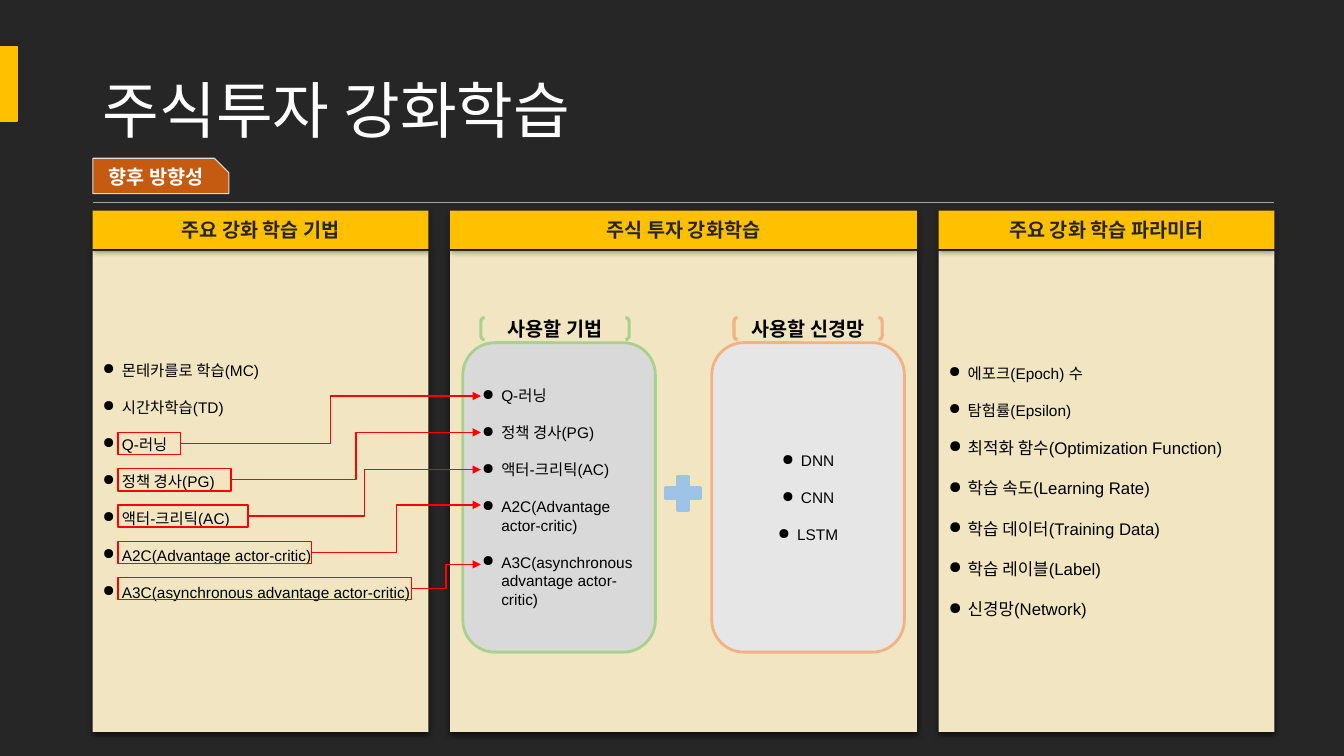
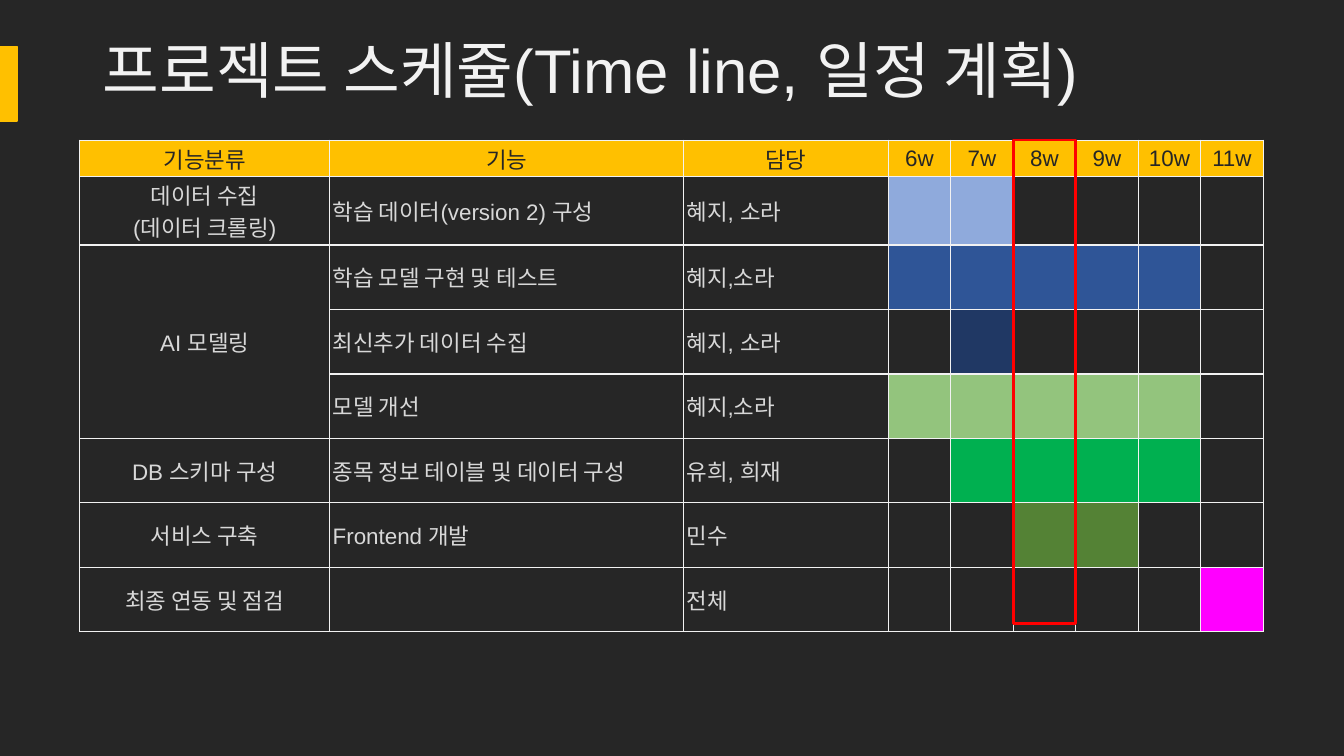
from lxml import etree
from pptx import Presentation
from pptx.dml.color import RGBColor
from pptx.enum.shapes import MSO_CONNECTOR, MSO_SHAPE
from pptx.enum.text import MSO_ANCHOR, MSO_AUTO_SIZE, PP_ALIGN
from pptx.oxml.ns import qn
from pptx.util import Inches, Pt

# Shared look
DARK, GOLD, RED, BLACK, WHITE = "262626", "FFC000", "FF0000", "000000", "FFFFFF"
PALE, BODY = "F2F2F2", "D8D8D8"
GREEN, PEACH, SKY = "A9D18E", "F4B183", "9DC3E6"
LEFT, RIGHT = 0.92, 12.64

# Content of the direction slide: text and size of each bullet
METHODS = ["Q-러닝", "정책 경사(PG)", "액터-크리틱(AC)", "A2C(Advantage actor-critic)",
           "A3C(asynchronous advantage actor-critic)"]
TECHNIQUES = [(text, 11) for text in ["몬테카를로 학습(MC)", "시간차학습(TD)"] + METHODS]
PARAMETERS = [("에포크(Epoch) 수", 11), ("탐험률(Epsilon)", 11),
              ("최적화 함수(Optimization Function)", 12), ("학습 속도(Learning Rate)", 12),
              ("학습 데이터(Training Data)", 12), ("학습 레이블(Label)", 12),
              ("신경망(Network)", 12)]
# heading, width, bullets, bottom inset
COLUMNS = [("주요 강화 학습 기법", 3.33, TECHNIQUES, 0.25),
           ("주식 투자 강화학습", 4.63, [], 0.05),
           ("주요 강화 학습 파라미터", 3.33, PARAMETERS, 0.05)]
# heading, left, bracket left, fill, outline, bullets, alignment
GROUPS = [("사용할 기법", 4.59, 4.77, "D9D9D9", GREEN, METHODS, PP_ALIGN.LEFT),
          ("사용할 신경망", 7.06, 7.28, "E7E6E6", PEACH, ["DNN", "CNN", "LSTM"],
           PP_ALIGN.CENTER)]
# width of the marked method, height its arrow ends at
MARKS = [(0.62, 3.93), (1.12, 4.29), (1.29, 4.66), (1.92, 5.01), (2.91, 5.6)]

# Content of the schedule slide
WEEKS = ["6w", "7w", "8w", "9w", "10w", "11w"]
HEADINGS = ["기능분류", "기능", "담당"] + WEEKS
# category, task, people, first week, last week, bar colour
TASKS = [("데이터 수집\n(데이터 크롤링)", "학습 데이터(version 2) 구성", "혜지, 소라", 6, 7, "8FAADC"),
         ("AI 모델링", "학습 모델 구현 및 테스트", "혜지,소라", 6, 10, "2F5597"),
         ("", "최신추가 데이터 수집", "혜지, 소라", 7, 7, "203864"),
         ("", "모델 개선", "혜지,소라", 6, 10, "93C47D"),
         ("DB 스키마 구성", "종목 정보 테이블 및 데이터 구성", "유희, 희재", 7, 10, "00B050"),
         ("서비스 구축", "Frontend 개발", "민수", 8, 9, "548235"),
         ("최종 연동 및 점검", "", "전체", 11, 11, "FF00FF")]
TABLE_LEFT, TABLE_TOP, TABLE_HEIGHT, WEEK_WIDTH = 0.79, 1.39, 4.8, 0.62
WIDTHS = [2.48, 3.51, 2.03] + [WEEK_WIDTH] * len(WEEKS)


def color(value):
    return RGBColor.from_string(value)


def add_xml(parent, tag, **attributes):
    return etree.SubElement(parent, qn(tag), attributes)


def set_values(target, values):
    for name, value in values.items():
        setattr(target, name, value)


def write(para, text, size, ink, font="Arial", bold=False):
    span = para.add_run()
    span.text = text
    set_values(span.font, {"size": Pt(size), "name": font, "bold": bold})
    span.font.color.rgb = color(ink)


def set_frame(frame, insets=(0.1, 0.05, 0.1, 0.05)):
    sides = ("margin_left", "margin_top", "margin_right", "margin_bottom")
    set_values(frame, dict(zip(sides, map(Inches, insets))))
    set_values(frame, {"word_wrap": True, "vertical_anchor": MSO_ANCHOR.MIDDLE})


def set_line(line, ink, width):
    line.color.rgb = color(ink)
    line.width = Pt(width)


def add_box(page, kind, place, fill=None, line=None):
    box = page.shapes.add_shape(kind, *map(Inches, place))
    box.shadow.inherit = False
    if fill:
        box.fill.solid()
        box.fill.fore_color.rgb = color(fill)
    else:
        box.fill.background()
    if line:
        set_line(box.line, *line)
    else:
        box.line.fill.background()
    return box


def add_label(box, text, size, ink, font="Arial", align=PP_ALIGN.CENTER, insets=(0, 0, 0, 0)):
    set_frame(box.text_frame, insets)
    para = box.text_frame.paragraphs[0]
    para.alignment = align
    write(para, text, size, ink, font, bold=True)


def add_bullets(box, items, align=PP_ALIGN.LEFT, bottom=0.05):
    frame = box.text_frame
    set_frame(frame, (0.1, 0.05, 0.1, bottom))
    for index, (text, size) in enumerate(items):
        para = frame.add_paragraph() if index else frame.paragraphs[0]
        props = para._p.get_or_add_pPr()
        props.set("marL", str(Inches(0.19)))
        props.set("indent", str(Inches(-0.19)))
        add_xml(add_xml(props, "a:buClr"), "a:srgbClr", val=BLACK)
        add_xml(props, "a:buChar", char="●")
        para.alignment = align
        if index:
            para.space_before = Pt(1.2 * items[index - 1][1])
        write(para, text, size, BLACK)


def add_shadow(box, opacity, blur, distance):
    effects = box._element.spPr.find(qn("a:effectLst"))
    shadow = add_xml(effects, "a:outerShdw", blurRad=str(Pt(blur)), dist=str(Pt(distance)),
                     dir="5400000", algn="ctr", rotWithShape="0")
    ink = add_xml(shadow, "a:srgbClr", val=BLACK)
    add_xml(ink, "a:alpha", val=str(opacity * 1000))


def add_line(page, kind, start, end, ink, width, arrow=False):
    line = page.shapes.add_connector(kind, *map(Inches, start + end))
    set_line(line.line, ink, width)
    if arrow:
        add_xml(line.line._get_or_add_ln(), "a:tailEnd", type="triangle")
    add_xml(line._element.spPr, "a:effectLst")


def add_page(deck, title, top, ink, font):
    page = deck.slides.add_slide(deck.slide_layouts[5])
    heading = page.shapes.title
    set_values(heading, {"left": Inches(LEFT), "top": Inches(top),
                         "width": Inches(11.5), "height": Inches(1.45)})
    set_frame(heading.text_frame)
    heading.text_frame.auto_size = MSO_AUTO_SIZE.NONE
    para = heading.text_frame.paragraphs[0]
    set_values(para, {"alignment": PP_ALIGN.LEFT, "line_spacing": 0.9})
    write(para, title, 44, ink, font)
    add_box(page, MSO_SHAPE.RECTANGLE, (0, 0.46, 0.17, 0.74), GOLD, (GOLD, 1))
    return page


def build_direction(deck):
    page = add_page(deck, "주식투자 강화학습", 0.4, WHITE, "Calibri")
    tag = add_box(page, MSO_SHAPE.SNIP_1_RECTANGLE, (LEFT, 1.57, 1.35, 0.35),
                  "C55A11", ("DDDDDD", 0.75))
    tag.adjustments[0] = 0.41
    add_label(tag, "향후 방향성", 14, WHITE, align=PP_ALIGN.LEFT, insets=(0.16, 0, 0, 0.05))
    add_line(page, MSO_CONNECTOR.STRAIGHT, (LEFT, 2.01), (RIGHT, 2.01), "A5A5A5", 0.75)

    # Three panels with gold headings
    gap = (RIGHT - LEFT - sum(column[1] for column in COLUMNS)) / (len(COLUMNS) - 1)
    left = LEFT
    for text, width, items, bottom in COLUMNS:
        panel = add_box(page, MSO_SHAPE.RECTANGLE, (left, 2.49, width, 4.77), "FFF2CC")
        ink = panel._element.spPr.find(qn("a:solidFill"))[0]
        add_xml(ink, "a:alpha", val="95000")
        add_shadow(panel, 63, 4.5, 1.5)
        add_bullets(panel, items, bottom=bottom)
        heading = add_box(page, MSO_SHAPE.RECTANGLE, (left, 2.09, width, 0.38), GOLD)
        add_shadow(heading, 40, 4, 2)
        add_label(heading, text, 14, DARK, "Calibri", insets=(0.08,) * 4)
        left += width + gap

    # Chosen techniques and networks
    for text, left, bracket_left, fill, outline, items, align in GROUPS:
        group = add_box(page, MSO_SHAPE.ROUNDED_RECTANGLE, (left, 3.4, 1.91, 3.07),
                        fill, (outline, 2))
        add_bullets(group, [(item, 11) for item in items], align)
        bracket = add_box(page, MSO_SHAPE.DOUBLE_BRACKET, (bracket_left, 3.15, 1.47, 0.22),
                          line=(outline, 2.25))
        add_label(bracket, text, 14, BLACK)
    add_box(page, MSO_SHAPE.MATH_PLUS, (6.54, 4.66, 0.47, 0.47), SKY, (SKY, 2))

    # Marked methods and their arrows
    for index, (width, target) in enumerate(MARKS):
        top = 4.29 + 0.36 * index
        add_box(page, MSO_SHAPE.RECTANGLE, (1.17, top, width, 0.22), line=(RED, 1))
        add_line(page, MSO_CONNECTOR.ELBOW, (1.17 + width, top + 0.11), (4.77, target),
                 RED, 1, arrow=True)


def fill_cell(cell, text, ink, align, fill):
    set_values(cell, {"vertical_anchor": MSO_ANCHOR.MIDDLE,
                      "margin_left": Inches(0.03), "margin_right": Inches(0.03),
                      "margin_top": Inches(0.02), "margin_bottom": Inches(0.02)})
    if fill:
        cell.fill.solid()
        cell.fill.fore_color.rgb = color(fill)
    else:
        cell.fill.background()
    # Borders come before the fill
    props = cell._tc.get_or_add_tcPr()
    for index, side in enumerate(("a:lnL", "a:lnR", "a:lnT", "a:lnB")):
        border = add_xml(props, side, w=str(Pt(1)))
        add_xml(add_xml(border, "a:solidFill"), "a:srgbClr", val=PALE)
        props.insert(index, border)
    if text:
        for index, part in enumerate(text.split("\n")):
            frame = cell.text_frame
            para = frame.add_paragraph() if index else frame.paragraphs[0]
            para.alignment = align
            write(para, part, 16, ink)


def build_schedule(deck):
    page = add_page(deck, "프로젝트 스케쥴(Time line, 일정 계획)", 0, PALE, "Arial")
    table = page.shapes.add_table(
        len(TASKS) + 1, len(HEADINGS), Inches(TABLE_LEFT), Inches(TABLE_TOP),
        Inches(sum(WIDTHS)), Inches(TABLE_HEIGHT)).table
    set_values(table, {"first_row": False, "horz_banding": False})
    for column, width in zip(table.columns, WIDTHS):
        column.width = Inches(width)
    for index, row in enumerate(table.rows):
        row.height = Inches(0.64 if index else 0.3)

    for column, text in enumerate(HEADINGS):
        fill_cell(table.cell(0, column), text, DARK, PP_ALIGN.CENTER, GOLD)
    for row, (category, task, people, first, last, bar) in enumerate(TASKS, 1):
        for column, text in enumerate((category, task, people)):
            align = PP_ALIGN.LEFT if column else PP_ALIGN.CENTER
            fill_cell(table.cell(row, column), text, BODY, align, None)
        for column, week in enumerate(range(6, 12), 3):
            fill_cell(table.cell(row, column), "", BODY, PP_ALIGN.CENTER,
                      bar if first <= week <= last else None)
    table.cell(2, 0).merge(table.cell(4, 0))

    # Frame around the current week
    left = TABLE_LEFT + sum(WIDTHS[:HEADINGS.index("8w")])
    add_box(page, MSO_SHAPE.RECTANGLE, (left, TABLE_TOP, WEEK_WIDTH, TABLE_HEIGHT),
            line=(RED, 2))


def main():
    deck = Presentation()
    set_values(deck, {"slide_width": Inches(13.33), "slide_height": Inches(7.5)})
    background = deck.slide_master.background.fill
    background.solid()
    background.fore_color.rgb = color(DARK)
    build_direction(deck)
    build_schedule(deck)
    deck.save("out.pptx")


if __name__ == "__main__":
    main()
